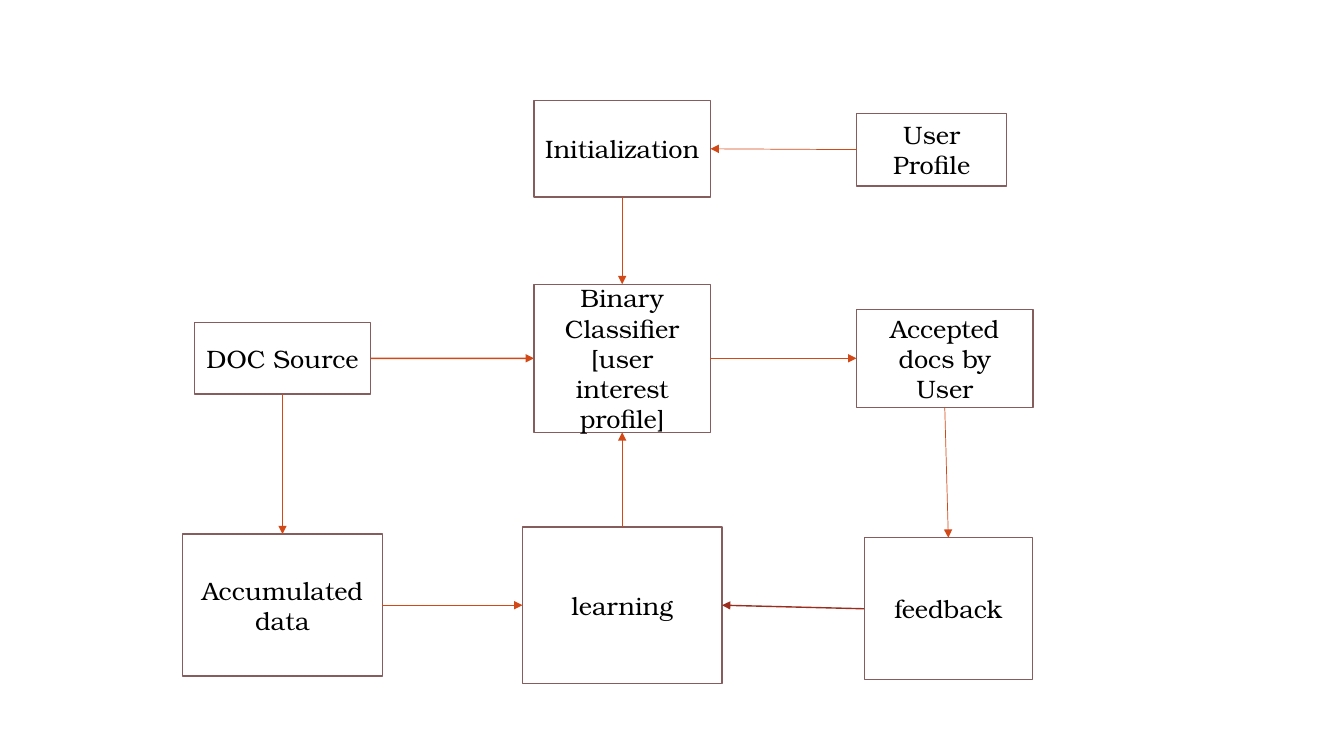
import pptx
import pptx.util
import pptx.dml.color
import pptx.enum.shapes
import pptx.enum.text
import pptx.oxml.ns
import lxml.etree
from dataclasses import dataclass

Cm = pptx.util.Cm
Pt = pptx.util.Pt
TOP, LEFT, BOTTOM, RIGHT = range(4)


@dataclass(frozen=True)
class Theme:
    font: str = "TeX Gyre Bonum"
    size: float = 18
    text: str = "000000"
    fill: str = "FFFFFF"
    border: str = "855D5D"
    arrow: str = "D34817"
    strong_arrow: str = "9B2D1F"
    thin: float = 0.5
    regular: float = 1


THEME = Theme()
SOURCE_X, CLASSIFIER_X, USER_X = 7.12, 15.68, 23.81
START_Y, CLASSIFY_Y, LEARN_Y = 3.75, 9.03, 15.25

STEPS = {
    "source": ("DOC Source", SOURCE_X, CLASSIFY_Y, 4.45, 1.81),
    "classifier": ("Binary Classifier [user interest profile]", CLASSIFIER_X, CLASSIFY_Y, 4.45, 3.73),
    "accepted": ("Accepted docs by User", USER_X, CLASSIFY_Y, 4.45, 2.47),
    "initialization": ("Initialization", CLASSIFIER_X, START_Y, 4.45, 2.43),
    "profile": ("User Profile", 23.48, 3.77, 3.78, 1.83),
    "learning": ("learning", CLASSIFIER_X, LEARN_Y, 5.03, 3.94),
    "feedback": ("feedback", 23.9, 15.34, 4.24, 3.58),
    "accumulated": ("Accumulated\ndata", SOURCE_X, LEARN_Y, 5.03, 3.58),
}

FLOWS = [
    ("profile", LEFT, "initialization", RIGHT, THEME.arrow, THEME.thin),
    ("initialization", BOTTOM, "classifier", TOP, THEME.arrow, THEME.thin),
    ("source", RIGHT, "classifier", LEFT, THEME.arrow, THEME.regular),
    ("classifier", RIGHT, "accepted", LEFT, THEME.arrow, THEME.thin),
    ("source", BOTTOM, "accumulated", TOP, THEME.arrow, THEME.thin),
    ("accumulated", RIGHT, "learning", LEFT, THEME.arrow, THEME.thin),
    ("feedback", LEFT, "learning", RIGHT, THEME.strong_arrow, THEME.regular),
    ("accepted", BOTTOM, "feedback", TOP, THEME.arrow, THEME.thin),
    ("learning", TOP, "classifier", BOTTOM, THEME.arrow, THEME.thin),
]


def rgb(value):
    return pptx.dml.color.RGBColor.from_string(value)


def write(frame, text, *, font=THEME.font, size=THEME.size, color=THEME.text,
          align=pptx.enum.text.PP_ALIGN.CENTER, anchor=pptx.enum.text.MSO_ANCHOR.MIDDLE):
    frame.text = text
    frame.word_wrap = True
    frame.vertical_anchor = anchor
    for paragraph in frame.paragraphs:
        paragraph.alignment = align
        for run in paragraph.runs:
            run.font.name = font
            run.font.size = Pt(size)
            run.font.color.rgb = rgb(color)


def add_step(slide, label, center_x, center_y, width, height):
    step = slide.shapes.add_shape(
        pptx.enum.shapes.MSO_SHAPE.RECTANGLE,
        Cm(center_x - width / 2), Cm(center_y - height / 2), Cm(width), Cm(height))
    step.shadow.inherit = False
    step.fill.solid()
    step.fill.fore_color.rgb = rgb(THEME.fill)
    step.line.color.rgb = rgb(THEME.border)
    step.line.width = Pt(THEME.regular)
    write(step.text_frame, label)
    return step


def add_flow(slide, origin, origin_side, target, target_side, color, width):
    flow = slide.shapes.add_connector(pptx.enum.shapes.MSO_CONNECTOR.STRAIGHT, 0, 0, 0, 0)
    flow.begin_connect(origin, origin_side)
    flow.end_connect(target, target_side)
    flow.line.color.rgb = rgb(color)
    flow.line.width = Pt(width)
    qn = pptx.oxml.ns.qn
    properties = flow.element.spPr
    lxml.etree.SubElement(properties.find(qn("a:ln")), qn("a:tailEnd"), type="triangle")
    lxml.etree.SubElement(properties, qn("a:effectLst"))


def main():
    deck = pptx.Presentation()
    deck.slide_width, deck.slide_height = Cm(33.87), Cm(19.05)
    slide = deck.slides.add_slide(deck.slide_layouts.get_by_name("Blank"))
    steps = {key: add_step(slide, *content) for key, content in STEPS.items()}
    for origin, origin_side, target, target_side, color, width in FLOWS:
        add_flow(slide, steps[origin], origin_side, steps[target], target_side, color, width)
    deck.save("out.pptx")


if __name__ == "__main__":
    main()
